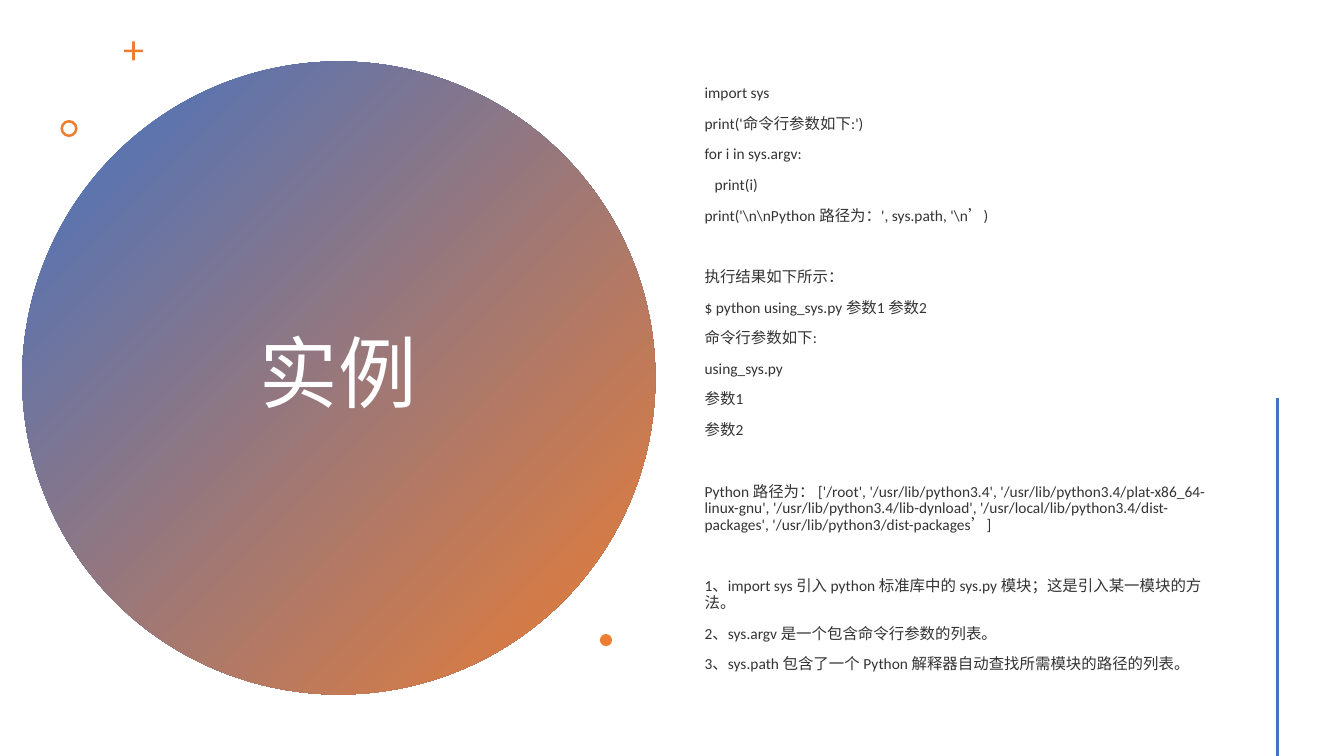
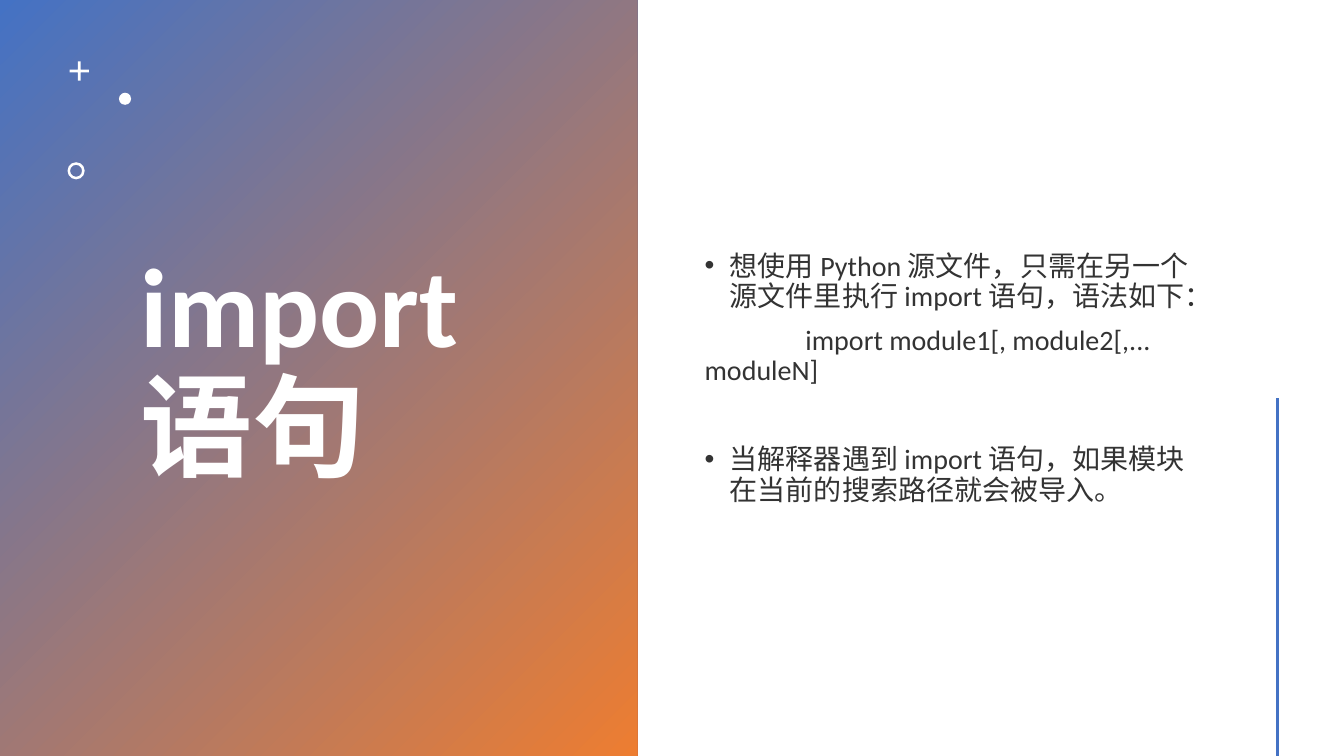
from pptx import Presentation
from pptx.dml.color import RGBColor
from pptx.enum.shapes import MSO_CONNECTOR, MSO_SHAPE as SHAPE
from pptx.enum.text import MSO_ANCHOR, PP_ALIGN as ALIGN
from pptx.oxml.ns import qn
from pptx.util import Inches, Pt
from lxml.etree import SubElement

COLORS = {
    "blue": "4472C4",
    "orange": "ED7D31",
    "white": "FFFFFF",
    "body": "333333",
}
MARKS = {
    "plus": (SHAPE.CROSS, 0.19, 0.43),
    "ring": (SHAPE.DONUT, 0.17, 0.15),
    "dot": (SHAPE.OVAL, 0.12, None),
}
BODY_BOX = (6.89, 0.57, 5.22, 6.38)
PARAGRAPH_GAP = 10

slides = [
    {
        "panel": (SHAPE.OVAL, 0.22, 0.61, 6.28, 6.28),
        "title": "实例",
        "title_box": (1.36, 1.41, 3.99, 4.67),
        "title_font": {"size": Pt(56), "bold": False},
        "title_align": ALIGN.CENTER,
        "mark_color": "orange",
        "marks": [("plus", 1.23, 0.41), ("ring", 0.6, 1.19), ("dot", 5.95, 6.29)],
        "body_size": 11,
        "section_gap": 32,
        "body": [
            ("import sys", ""),
            ("print('命令行参数如下:')", ""),
            ("for i in sys.argv:", ""),
            ("print(i)", "nested"),
            (r"print('\n\nPython 路径为：', sys.path, '\n’)", ""),
            ("执行结果如下所示：", "section"),
            ("$ python using_sys.py 参数1 参数2", ""),
            ("命令行参数如下:", ""),
            ("using_sys.py", ""),
            ("参数1", ""),
            ("参数2", ""),
            ("Python 路径为： ['/root', '/usr/lib/python3.4', "
             "'/usr/lib/python3.4/plat-x86_64-linux-gnu', "
             "'/usr/lib/python3.4/lib-dynload', "
             "'/usr/local/lib/python3.4/dist-packages', "
             "'/usr/lib/python3/dist-packages’]", "section"),
            ("1、import sys 引入 python 标准库中的 sys.py 模块；这是引入某一模块的方法。", "section"),
            ("2、sys.argv 是一个包含命令行参数的列表。", ""),
            ("3、sys.path 包含了一个 Python 解释器自动查找所需模块的路径的列表。", ""),
        ],
    },
    {
        "panel": (SHAPE.RECTANGLE, 0, 0, 6.32, 7.5),
        "title": "import 语句",
        "title_box": (1.3, 0.42, 4.38, 6.53),
        "title_font": {"size": Pt(80), "bold": True},
        "title_align": ALIGN.LEFT,
        "mark_color": "white",
        "marks": [("plus", 0.69, 0.61), ("dot", 1.18, 0.92), ("ring", 0.67, 1.61)],
        "body_size": 20,
        "section_gap": 42,
        "body": [
            ("想使用 Python 源文件，只需在另一个源文件里执行 import 语句，语法如下：", "bullet"),
            ("import module1[, module2[,... moduleN]", "syntax"),
            ("当解释器遇到 import 语句，如果模块在当前的搜索路径就会被导入。", "bullet section"),
        ],
    },
]

INDENTS = {"nested": (0.1, 0), "bullet": (0.25, -0.25), "syntax": (0, 1)}


def add_text_frame(slide, box):
    frame = slide.shapes.add_textbox(*map(Inches, box)).text_frame
    for name, value in {"word_wrap": True, "vertical_anchor": MSO_ANCHOR.MIDDLE}.items():
        setattr(frame, name, value)
    return frame


def write_paragraph(paragraph, text, color, font_format):
    paragraph.line_spacing = 0.9
    run = paragraph.add_run()
    run.text = text
    for name, value in {"name": "Calibri", **font_format}.items():
        setattr(run.font, name, value)
    run.font.color.rgb = RGBColor.from_string(COLORS[color])


deck = Presentation()
deck.slide_width, deck.slide_height = Inches(13.33), Inches(7.5)

for content in slides:
    slide = deck.slides.add_slide(deck.slide_layouts[6])

    kind, *box = content["panel"]
    panel = slide.shapes.add_shape(kind, *map(Inches, box))
    panel.shadow.inherit = False
    panel.line.fill.background()
    panel.fill.gradient()
    panel.fill.gradient_angle = 315
    for stop, color in zip(panel.fill.gradient_stops, ("blue", "orange")):
        stop.color.rgb = RGBColor.from_string(COLORS[color])

    title = add_text_frame(slide, content["title_box"]).paragraphs[0]
    title.alignment = content["title_align"]
    write_paragraph(title, content["title"], "white", content["title_font"])

    for mark_name, left, top in content["marks"]:
        kind, size, adjustment = MARKS[mark_name]
        mark = slide.shapes.add_shape(kind, *map(Inches, (left, top, size, size)))
        mark.shadow.inherit = False
        mark.line.fill.background()
        mark.fill.solid()
        mark.fill.fore_color.rgb = RGBColor.from_string(COLORS[content["mark_color"]])
        if adjustment:
            mark.adjustments[0] = adjustment

    body = add_text_frame(slide, BODY_BOX)
    for index, (text, styles) in enumerate(content["body"]):
        paragraph = body.add_paragraph() if index else body.paragraphs[0]
        write_paragraph(paragraph, text, "body", {"size": Pt(content["body_size"])})
        gap = content["section_gap"] if "section" in styles else PARAGRAPH_GAP
        paragraph.space_before = Pt(gap)
        properties = paragraph._p.get_or_add_pPr()
        for style in styles.split():
            if style in INDENTS:
                margin, indent = INDENTS[style]
                properties.set("marL", str(Inches(margin)))
                properties.set("indent", str(Inches(indent)))
        if "bullet" in styles:
            SubElement(properties, qn("a:buFont")).set("typeface", "Arial")
            SubElement(properties, qn("a:buChar")).set("char", "•")

    accent = slide.shapes.add_connector(
        MSO_CONNECTOR.STRAIGHT, *map(Inches, (12.67, 3.95, 12.67, 7.5)))
    accent.line.width = Pt(2)
    accent.line.color.rgb = RGBColor.from_string(COLORS["blue"])
    SubElement(accent._element.spPr, qn("a:effectLst"))

deck.save("out.pptx")
